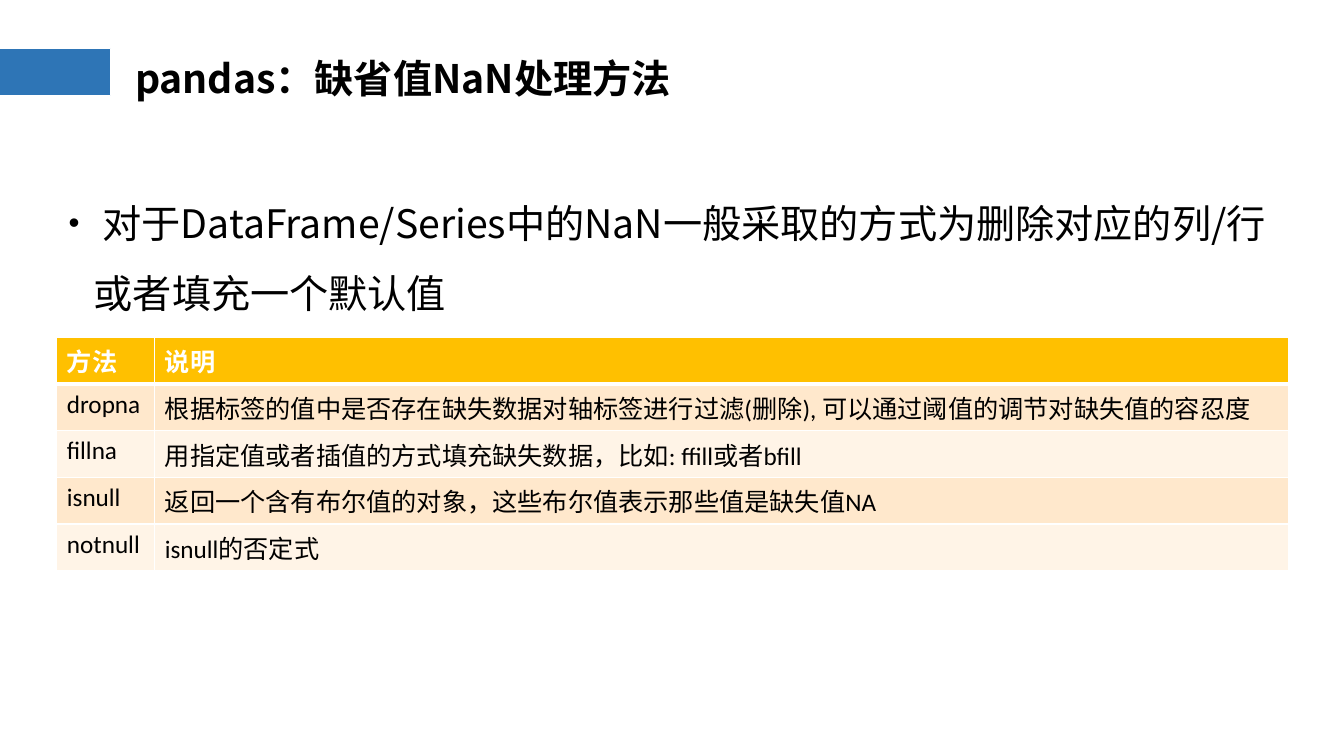
from lxml.etree import SubElement
from pptx import Presentation
from pptx.dml.color import RGBColor
from pptx.enum.shapes import MSO_SHAPE
from pptx.enum.text import MSO_ANCHOR, MSO_AUTO_SIZE, PP_ALIGN
from pptx.oxml import parse_xml
from pptx.oxml.ns import nsdecls, qn
from pptx.util import Pt

COLORS = {
    "accent": "2E75B6",
    "header": "FFC000",
    "odd_row": "FFE8CC",
    "even_row": "FFF4E7",
    "text": "000000",
    "white": "FFFFFF",
}
HEADING_FONT = "Noto Sans CJK SC"
TABLE_FONT = "Calibri"

METHODS = [
    ("方法", "说明"),
    ("dropna", "根据标签的值中是否存在缺失数据对轴标签进行过滤(删除), 可以通过阈值的调节对缺失值的容忍度"),
    ("fillna", "用指定值或者插值的方式填充缺失数据，比如: ffill或者bfill"),
    ("isnull", "返回一个含有布尔值的对象，这些布尔值表示那些值是缺失值NA"),
    ("notnull", "isnull的否定式"),
]


def color(name):
    return RGBColor.from_string(COLORS[name])


class SlideBuilder:
    def __init__(self, slide):
        self.slide = slide

    def style(self, paragraph, font_name, size, color_name, bold=False):
        font = paragraph.font
        font.name, font.size, font.bold = font_name, Pt(size), bold
        font.color.rgb = color(color_name)

    def bar(self, left, top, width, height):
        bar = self.slide.shapes.add_shape(
            MSO_SHAPE.RECTANGLE, Pt(left), Pt(top), Pt(width), Pt(height))
        bar.shadow.inherit = False
        bar.fill.solid()
        bar.fill.fore_color.rgb = color("accent")
        bar.line.color.rgb = color("white")
        bar.line.width = Pt(0.75)

    def placeholder(self, index, text, left, top, width, height, anchor):
        """Move and fill a template placeholder; return its paragraph."""
        holder = self.slide.placeholders[index]
        holder.left, holder.top = Pt(left), Pt(top)
        holder.width, holder.height = Pt(width), Pt(height)
        frame = holder.text_frame
        frame.text = text
        frame.word_wrap = True
        frame.auto_size = MSO_AUTO_SIZE.NONE
        frame.vertical_anchor = anchor
        paragraph = frame.paragraphs[0]
        paragraph.alignment = PP_ALIGN.LEFT
        paragraph.space_before = Pt(0)
        return paragraph

    def title(self, text, *box):
        paragraph = self.placeholder(0, text, *box, MSO_ANCHOR.MIDDLE)
        paragraph.line_spacing = 0.9
        self.style(paragraph, HEADING_FONT, 28, "text", bold=True)

    def bullet(self, text, *box):
        paragraph = self.placeholder(1, text, *box, MSO_ANCHOR.TOP)
        paragraph.line_spacing = 1.5
        properties = paragraph._p.get_or_add_pPr()
        properties.set("marL", str(Pt(18)))
        properties.set("indent", str(Pt(-18)))
        SubElement(properties, qn("a:buSzPct"), val="80000")
        SubElement(properties, qn("a:buFont"), typeface="Arial")
        SubElement(properties, qn("a:buChar"), char="•")
        self.style(paragraph, HEADING_FONT, 28, "text")

    def cell_borders(self, cell, widths):
        properties = cell._tc.get_or_add_tcPr()
        for position, (side, width) in enumerate(widths.items()):
            properties.insert(position, parse_xml(
                f'<a:ln{side} {nsdecls("a")} w="{Pt(width)}"><a:solidFill>'
                f'<a:srgbClr val="{COLORS["white"]}"/></a:solidFill></a:ln{side}>'))

    def table(self, rows, left, top, column_widths, row_heights):
        table = self.slide.shapes.add_table(
            len(rows), len(column_widths), Pt(left), Pt(top),
            Pt(sum(column_widths)), Pt(sum(row_heights))).table
        for column, width in zip(table.columns, column_widths):
            column.width = Pt(width)
        for number, (texts, height) in enumerate(zip(rows, row_heights)):
            table.rows[number].height = Pt(height)
            header = number == 0
            fill = "header" if header else "odd_row" if number % 2 else "even_row"
            borders = {"L": 1, "R": 1, "T": 3 if number == 1 else 1, "B": 3 if header else 1}
            for column, text in enumerate(texts):
                cell = table.cell(number, column)
                cell.text = text
                cell.fill.solid()
                cell.fill.fore_color.rgb = color(fill)
                self.cell_borders(cell, borders)
                self.style(cell.text_frame.paragraphs[0], TABLE_FONT, 18,
                           "white" if header else "text", bold=header)


def main():
    deck = Presentation()
    deck.slide_width, deck.slide_height = Pt(960), Pt(540)
    builder = SlideBuilder(deck.slides.add_slide(deck.slide_layouts[1]))
    builder.bar(0, 34.6, 79.2, 33.8)
    builder.bullet(" 对于DataFrame/Series中的NaN一般采取的方式为删除对应的列/行或者填充一个默认值",
                   41.8, 121.7, 879.8, 372.2)
    builder.title("pandas：缺省值NaN处理方法", 89.3, 35.3, 648, 44.6)
    builder.table(METHODS, 40.6, 241.2, [70, 810], [30.2, 32.4, 30.2, 30.2, 30.2])
    deck.save("out.pptx")


if __name__ == "__main__":
    main()
